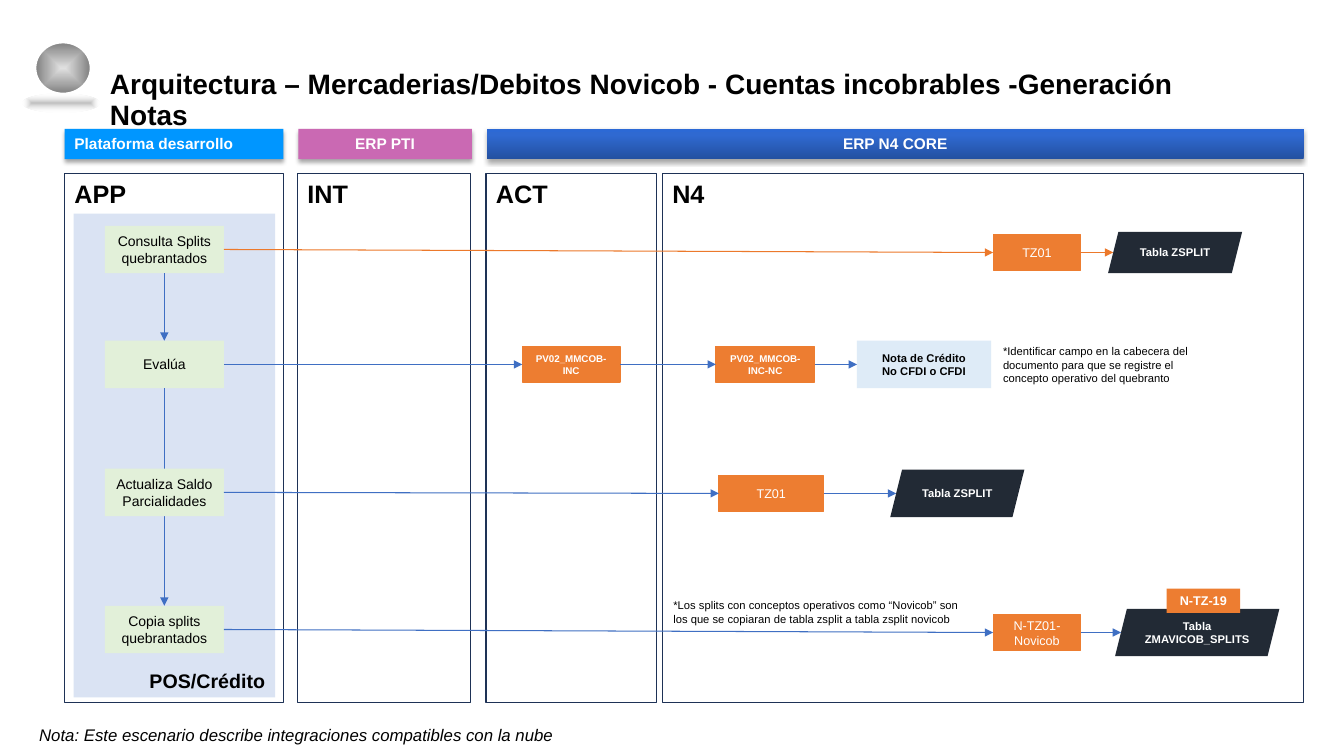
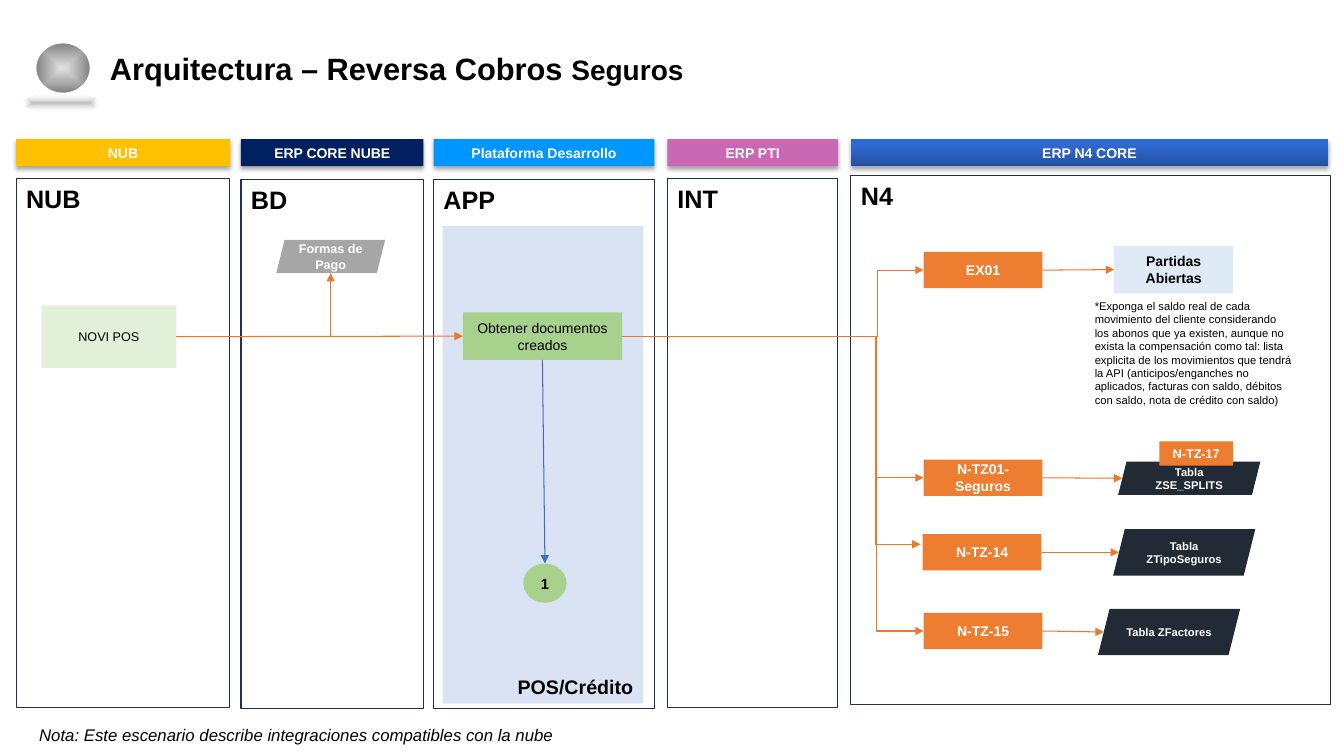
"""Build two integration architecture slides with swim lanes and flow arrows."""
import lxml.etree
import pptx
import pptx.dml.color
import pptx.enum.shapes
import pptx.enum.text
import pptx.oxml.ns
import pptx.util

PX = 9144
FONT = "Arial"
COLOURS = {
    "black": "000000", "white": "FFFFFF", "border": "1E3256", "area": "DAE3F3",
    "platform": "0096FF", "integration": "CA69B3", "database": "002060", "cloud": "FFC000",
    "core_dark": "2451A1", "core": "2F69D1", "core_light": "2C69D5",
    "step": "E2F0D9", "action": "A9D18E", "service": "ED7D31", "service_line": "ED7D30",
    "table": "222A35", "document": "DEEBF7", "payment": "A6A6A6",
    "blue": "3F6FC3", "orange": "EC792B", "silver": "E0E0E0", "grey": "808080",
}
SHAPES = pptx.enum.shapes.MSO_SHAPE
CONNECTORS = pptx.enum.shapes.MSO_CONNECTOR
ANCHORS = pptx.enum.text.MSO_ANCHOR
ALIGNS = pptx.enum.text.PP_ALIGN
STYLES = {
    "step": {"fill": "step", "size": 10},
    "action": {"fill": "action", "size": 10},
    "service": {"fill": "service", "line": "service_line", "size": 9, "colour": "white"},
    "tag": {"fill": "service", "size": 9, "colour": "white", "bold": True},
    "document": {"fill": "document", "size": 8, "bold": True},
    "table": {"fill": "table", "size": 8, "colour": "white", "bold": True,
              "kind": SHAPES.PARALLELOGRAM},
}
CORE_STOPS = [(0, "core_dark", 100), (80, "core", 100), (100, "core_light", 100)]
SITES = {0: (0.5, 0), 1: (0, 0.5), 2: (0.5, 1), 3: (1, 0.5)}


def rgb(name):
    """Return the named colour."""
    return pptx.dml.color.RGBColor.from_string(COLOURS[name])


def emu(lengths):
    """Turn px lengths into EMU."""
    return [pptx.util.Emu(round(length * PX)) for length in lengths]


def add_element(parent, tag, **attributes):
    """Append a drawing element with the given attributes."""
    child = lxml.etree.SubElement(parent, pptx.oxml.ns.qn(tag))
    for name, value in attributes.items():
        child.set(name, str(value))
    return child


def format_run(run, size, colour="black", bold=False, italic=False):
    """Apply font values to a run."""
    values = {"name": FONT, "size": pptx.util.Pt(size), "bold": bold, "italic": italic}
    for name, value in values.items():
        setattr(run.font, name, value)
    run.font.color.rgb = rgb(colour)


def write(shape, text, align=ALIGNS.LEFT, anchor=ANCHORS.TOP, **font):
    """Write one paragraph per line of text."""
    frame = shape.text_frame
    frame.word_wrap = True
    frame.vertical_anchor = anchor
    for index, line in enumerate(text.split("\n")):
        paragraph = frame.add_paragraph() if index else frame.paragraphs[0]
        paragraph.alignment = align
        run = paragraph.add_run()
        run.text = line
        format_run(run, **font)


def add_box(shapes, box, fill=None, line=None, kind=SHAPES.RECTANGLE, width=0.75):
    """Add a preset shape without shadow."""
    shape = shapes.add_shape(kind, *emu(box))
    shape.shadow.inherit = False
    if fill:
        shape.fill.solid()
        shape.fill.fore_color.rgb = rgb(fill)
    else:
        shape.fill.background()
    if line:
        shape.line.color.rgb = rgb(line)
        shape.line.width = pptx.util.Pt(width)
    else:
        shape.line.fill.background()
    return shape


def add_gradient(shape, stops, angle=None):
    """Fill a shape with a linear gradient, or one from its centre."""
    shape.fill.gradient()
    gradient = shape._element.spPr.find(pptx.oxml.ns.qn("a:gradFill"))
    for child in list(gradient):
        gradient.remove(child)
    stop_list = add_element(gradient, "a:gsLst")
    for position, colour, alpha in stops:
        stop = add_element(stop_list, "a:gs", pos=position * 1000)
        tint = add_element(stop, "a:srgbClr", val=COLOURS[colour])
        add_element(tint, "a:alpha", val=alpha * 1000)
    if angle is None:
        centre = add_element(gradient, "a:path", path="rect")
        add_element(centre, "a:fillToRect", l=50000, t=50000, r=50000, b=50000)
    else:
        add_element(gradient, "a:lin", ang=angle * 60000, scaled=0)


def add_shadow(shape):
    """Give a shape a soft shadow below."""
    effects = shape._element.spPr.find(pptx.oxml.ns.qn("a:effectLst"))
    shadow = add_element(effects, "a:outerShdw", blurRad=40000, dist=23000, dir=5400000,
                         rotWithShape=0)
    add_element(add_element(shadow, "a:srgbClr", val=COLOURS["black"]), "a:alpha", val=35000)


def add_title(slide, box, runs):
    """Place the title and write its sized runs."""
    title = slide.shapes.title
    for name, value in zip(("left", "top", "width", "height"), emu(box)):
        setattr(title, name, value)
    frame = title.text_frame
    values = {"word_wrap": True, "vertical_anchor": ANCHORS.TOP,
              "auto_size": pptx.enum.text.MSO_AUTO_SIZE.NONE}
    for name, value in values.items():
        setattr(frame, name, value)
    paragraph = frame.paragraphs[0]
    paragraph.alignment = ALIGNS.LEFT
    paragraph.line_spacing = 0.9
    for text, size in runs:
        run = paragraph.add_run()
        run.text = text
        format_run(run, size, bold=True)


def add_emblem(slide, left, top):
    """Draw the grey ball and its ground shade."""
    group = slide.shapes.add_group_shape()
    ball = add_box(group.shapes, (left + 13, top, 55, 51), line="white",
                   kind=SHAPES.OVAL, width=1.5)
    add_gradient(ball, [(0, "silver", 100), (100, "grey", 100)])
    shade = add_box(group.shapes, (left, top + 51, 77, 19), kind=SHAPES.OVAL)
    add_gradient(shade, [(0, "grey", 50), (100, "white", 0)])


def add_note(slide, box, text, **font):
    """Add a plain text note."""
    write(slide.shapes.add_textbox(*emu(box)), text, **font)


def add_headers(slide, top, height, size, headers):
    """Draw the band of lane headers."""
    for left, width, text, fill, align in headers:
        shape = add_box(slide.shapes, (left, top, width, height), fill)
        if fill == "core":
            add_gradient(shape, CORE_STOPS, 270)
        add_shadow(shape)
        write(shape, text, align, size=size, colour="white", bold=True)


def add_lanes(slide, height, lanes):
    """Draw the outlined lanes with their names."""
    for left, top, width, text in lanes:
        shape = add_box(slide.shapes, (left, top, width, height), line="border")
        write(shape, text, size=18, bold=True)


def add_area(slide, box):
    """Draw the tinted area named at its lower right."""
    write(add_box(slide.shapes, box, "area"), "POS/Crédito", ALIGNS.RIGHT, ANCHORS.BOTTOM,
          size=14, bold=True)


def add_node(slide, style, box, text, **changes):
    """Draw a flow node in a named style."""
    font = {**STYLES[style], **changes}
    look = {name: font.pop(name) for name in ("fill", "line", "kind") if name in font}
    shape = add_box(slide.shapes, box, **look)
    write(shape, text, ALIGNS.CENTER, ANCHORS.MIDDLE, **font)
    return shape


def is_slanted(shape):
    """Tell whether a node is a parallelogram."""
    return shape.auto_shape_type == SHAPES.PARALLELOGRAM


def site_point(shape, site):
    """Return the EMU point at the middle of a node side."""
    across, down = SITES[site]
    slant = shape.height // 8 if is_slanted(shape) and site == 1 else 0
    return (round(shape.left + across * shape.width + slant),
            round(shape.top + down * shape.height))


def add_link(slide, source, target, colour="orange", sites=(3, 1), bend=None, corner=False):
    """Draw an arrow to a node or px point, bent at a px column or at one corner."""
    start = site_point(source, sites[0])
    is_point = isinstance(target, tuple)
    end = emu(target) if is_point else site_point(target, sites[1])
    kind = CONNECTORS.ELBOW if bend or corner else CONNECTORS.STRAIGHT
    link = slide.shapes.add_connector(kind, *start, *end)
    link.begin_connect(source, sites[0])
    if not is_point and not is_slanted(target):
        link.end_connect(target, sites[1])
    link.line.color.rgb = rgb(colour)
    link.line.width = pptx.util.Pt(0.75)
    properties = link._element.spPr
    geometry = properties.find(pptx.oxml.ns.qn("a:prstGeom"))
    if corner:
        geometry.set("prst", "bentConnector2")
    if bend:
        ratio = (bend * PX - start[0]) / (end[0] - start[0])
        add_element(geometry.find(pptx.oxml.ns.qn("a:avLst")), "a:gd", name="adj1",
                    fmla=f"val {round(ratio * 100000)}")
    add_element(properties.find(pptx.oxml.ns.qn("a:ln")), "a:tailEnd", type="triangle")
    add_element(properties, "a:effectLst")


def start_slide(presentation, title_box, title_runs):
    """Add a slide with the shared title, emblem and footnote."""
    slide = presentation.slides.add_slide(presentation.slide_layouts[5])
    add_title(slide, title_box, title_runs)
    add_emblem(slide, 22, 42)
    add_note(slide, (29, 714, 574, 30),
             "Nota: Este escenario describe integraciones compatibles con la nube",
             size=12, italic=True)
    return slide


def build_write_off(presentation):
    """Build the slide on notes for bad debts."""
    slide = start_slide(presentation, (99, 65, 1157, 40), [
        ("Arquitectura – Mercaderias/Debitos Novicob - Cuentas incobrables -Generación Notas", 20)])
    add_area(slide, (73, 212, 200, 480))
    add_headers(slide, 128, 30, 11, [
        (64, 217, "Plataforma desarrollo", "platform", ALIGNS.LEFT),
        (296, 172, "ERP PTI", "integration", ALIGNS.CENTER),
        (483, 810, "ERP N4 CORE", "core", ALIGNS.CENTER)])
    add_lanes(slide, 525, [(64, 172, 217, "APP"), (295, 172, 172, "INT"),
                           (482, 172, 169, "ACT"), (657, 172, 636, "N4")])
    query, check, copying = [
        add_node(slide, "step", (104, top, 118, 47), text)
        for top, text in ((224, "Consulta Splits quebrantados"), (338, "Evalúa"),
                          (601, "Copia splits quebrantados"))]
    add_link(slide, query, check, "blue", (2, 0))
    add_link(slide, check, copying, "blue", (2, 0))
    update = add_node(slide, "step", (104, 465, 118, 47), "Actualiza Saldo Parcialidades")

    small = {"size": 7, "bold": True}
    flows = [
        ("orange", query, [("service", (985, 233, 87, 35), "TZ01", {}),
                           ("table", (1099, 230, 133, 41), "Tabla ZSPLIT", {})]),
        ("blue", check, [("service", (518, 344, 97, 35), "PV02_MMCOB-INC", small),
                         ("service", (710, 344, 98, 35), "PV02_MMCOB-INC-NC", small),
                         ("document", (850, 338, 133, 47), "Nota de Crédito\nNo CFDI o CFDI", {})]),
        ("blue", update, [("service", (713, 472, 104, 35), "TZ01", {}),
                          ("table", (883, 466, 133, 47), "Tabla ZSPLIT", {})]),
        ("blue", copying, [("service", (985, 610, 87, 35), "N-TZ01-Novicob", {}),
                           ("table", (1106, 604, 163, 47), "Tabla ZMAVICOB_SPLITS", {})]),
    ]
    for colour, source, nodes in flows:
        for style, box, text, changes in nodes:
            target = add_node(slide, style, box, text, **changes)
            add_link(slide, source, target, colour)
            source = target
    add_node(slide, "tag", (1157, 584, 73, 24), "N-TZ-19")
    add_note(slide, (985, 337, 207, 50), "*Identificar campo en la cabecera del documento para "
             "que se registre el concepto operativo del quebranto", size=8)
    add_note(slide, (658, 589, 317, 37), "*Los splits con conceptos operativos como “Novicob” son "
             "los que se copiaran de tabla zsplit a tabla zsplit novicob", size=8)


def build_reversal(presentation):
    """Build the slide on reversing insurance payments."""
    slide = start_slide(presentation, (99, 48, 1113, 43),
                        [("Arquitectura – Reversa Cobros ", 22), ("Seguros", 20)])
    add_area(slide, (439, 224, 199, 474))
    add_headers(slide, 138, 27, 10, [
        (left, width, text, fill, ALIGNS.CENTER) for left, width, text, fill in (
            (16, 212, "NUB", "cloud"), (239, 181, "ERP CORE NUBE", "database"),
            (430, 219, "Plataforma Desarrollo", "platform"),
            (662, 169, "ERP PTI", "integration"), (844, 473, "ERP N4 CORE", "core"))])
    add_lanes(slide, 525, [(16, 177, 212, "NUB"), (239, 178, 181, "BD"), (430, 178, 219, "APP"),
                           (662, 177, 169, "INT"), (844, 174, 476, "N4")])
    store = add_node(slide, "step", (41, 303, 134, 62), "NOVI POS", size=9)
    payment = add_node(slide, "table", (274, 238, 108, 33), "Formas de Pago",
                       fill="payment", size=9)
    getting = add_node(slide, "action", (459, 310, 158, 47), "Obtener documentos creados")
    marker = add_node(slide, "action", (519, 559, 43, 39), "1", kind=SHAPES.OVAL,
                      size=10.5, bold=True)
    add_link(slide, store, payment, sites=(3, 2), corner=True)
    add_link(slide, store, getting)
    add_link(slide, getting, marker, "blue", (2, 0))

    branches = [
        ((916, 250), "EX01", "document", (1105, 244, 118, 47), "Partidas Abiertas", 10, 870, None),
        ((916, 456), "N-TZ01-Seguros", "table", (1109, 458, 141, 33), "Tabla ZSE_SPLITS",
         8, 869, None),
        ((915, 530), "N-TZ-14", "table", (1104, 525, 141, 46), "Tabla ZTipoSeguros",
         8, 868, (913, 540)),
        ((916, 608), "N-TZ-15", "table", (1089, 604, 141, 46), "Tabla ZFactores", 8, 869, None),
    ]
    for corner, name, style, box, text, size, bend, end in branches:
        service = add_node(slide, "service", (*corner, 118, 36), name, line=None,
                           size=10, bold=True)
        result = add_node(slide, style, box, text, size=size)
        add_link(slide, getting, end or service, bend=bend)
        add_link(slide, service, result)
    add_node(slide, "tag", (1150, 438, 73, 24), "N-TZ-17")
    add_note(slide, (1076, 292, 217, 118), "*Exponga el saldo real de cada movimiento del cliente "
             "considerando los abonos que ya existen, aunque no exista la compensación como tal: "
             "lista explicita de los movimientos que tendrá la API (anticipos/enganches no "
             "aplicados, facturas con saldo, débitos con saldo, nota de crédito con saldo)", size=8)


def main():
    """Build and save the presentation."""
    presentation = pptx.Presentation()
    presentation.slide_width, presentation.slide_height = emu((1333, 750))
    build_write_off(presentation)
    build_reversal(presentation)
    presentation.save("out.pptx")


if __name__ == "__main__":
    main()
